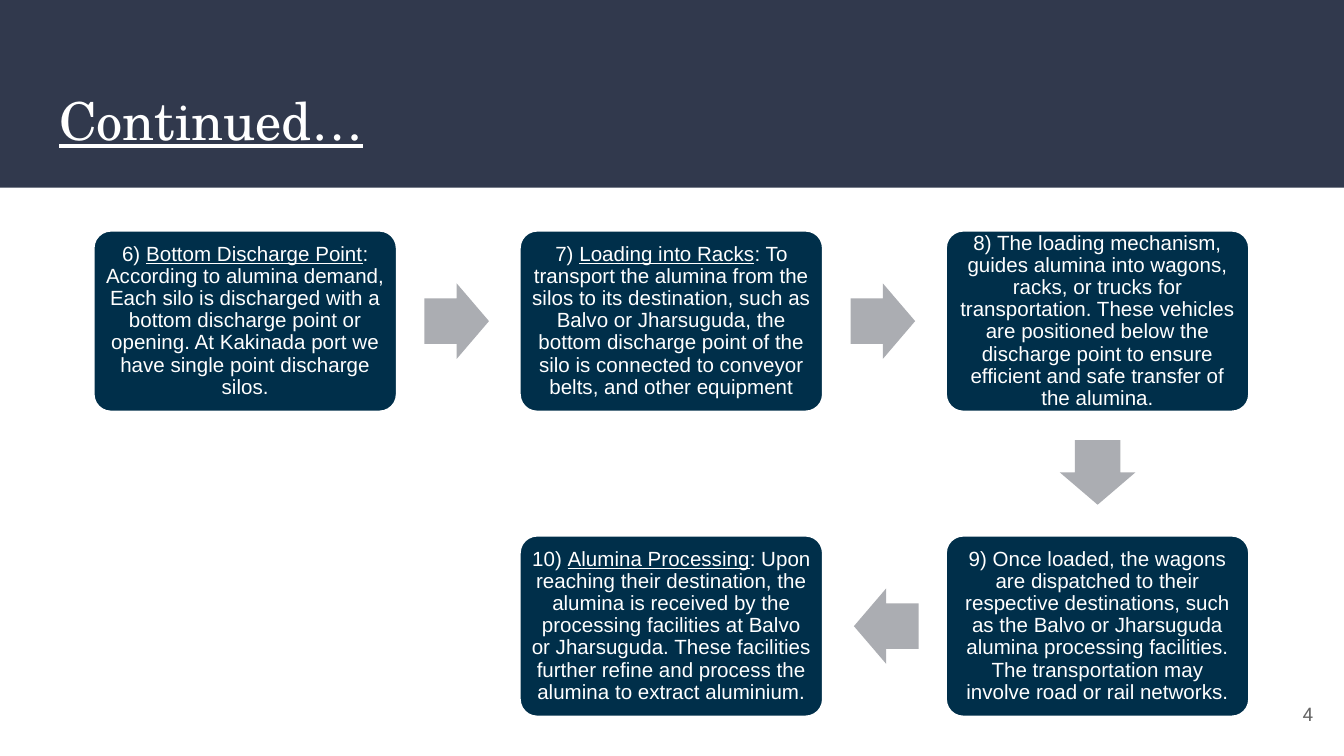
from math import atan2, degrees

from pptx import Presentation
from pptx.dml.color import RGBColor
from pptx.enum.shapes import MSO_SHAPE
from pptx.enum.text import MSO_ANCHOR, MSO_AUTO_SIZE, PP_ALIGN
from pptx.util import Pt

WHITE = RGBColor(0xFF, 0xFF, 0xFF)
SLATE = RGBColor(0x31, 0x39, 0x4D)
NAVY = RGBColor(0x00, 0x2F, 0x4A)
SILVER = RGBColor(0xAB, 0xAD, 0xB2)
GRAY = RGBColor(0x66, 0x66, 0x66)

BOX_WIDTH, BOX_HEIGHT = 163.4, 97.9
ARROW_WIDTH, ARROW_HEIGHT = 34.6, 40.5
LEFT, TOP = 49.7, 123.1
COLUMN_PITCH, ROW_PITCH = 228.3, 163.4
ARROW_POSITION = 0.496

STEPS = [
    (0, 0, "6) ", "Bottom Discharge Point",
     ": According to alumina demand, Each silo is discharged with a bottom discharge "
     "point or opening. At Kakinada port we have single point discharge silos."),
    (1, 0, "7) ", "Loading into Racks",
     ": To transport the alumina from the silos to its destination, such as Balvo or "
     "Jharsuguda, the bottom discharge point of the silo is connected to conveyor belts, "
     "and other equipment"),
    (2, 0, "8) ", "",
     "The loading mechanism, guides alumina into wagons, racks, or trucks for "
     "transportation. These vehicles are positioned below the discharge point to ensure "
     "efficient and safe transfer of the alumina."),
    (2, 1, "9) ", "",
     "Once loaded, the wagons are dispatched to their respective destinations, such as the "
     "Balvo or Jharsuguda alumina processing facilities. The transportation may involve "
     "road or rail networks."),
    (1, 1, "10) ", "Alumina Processing",
     ": Upon reaching their destination, the alumina is received by the processing "
     "facilities at Balvo or Jharsuguda. These facilities further refine and process the "
     "alumina to extract aluminium."),
]


def write_text(text_frame, runs, *, font, size, color, align, inset, line_spacing=1.0):
    """Fill a text frame with one paragraph of (text, underline) runs."""
    text_frame.word_wrap = True
    text_frame.auto_size = MSO_AUTO_SIZE.NONE
    text_frame.vertical_anchor = MSO_ANCHOR.MIDDLE
    text_frame.margin_left = text_frame.margin_right = Pt(inset)
    text_frame.margin_top = text_frame.margin_bottom = Pt(inset)
    paragraph = text_frame.paragraphs[0]
    paragraph.alignment = align
    paragraph.line_spacing = line_spacing
    for text, underline in runs:
        if text:
            run = paragraph.add_run()
            run.text = text
            run.font.name = font
            run.font.size = Pt(size)
            run.font.color.rgb = color
            run.font.underline = underline


class ProcessSlide:
    """Holds the style and the current slide of a process flow."""

    def __init__(self, slide):
        self.slide = slide

    def shape(self, kind, left, top, width, height, fill):
        """Add a flat preset shape without an outline."""
        shape = self.slide.shapes.add_shape(kind, Pt(left), Pt(top), Pt(width), Pt(height))
        shape.shadow.inherit = False
        shape.fill.solid()
        shape.fill.fore_color.rgb = fill
        shape.line.fill.background()
        return shape

    def title(self, text):
        """Add the header band and place the title over it."""
        band = self.shape(MSO_SHAPE.RECTANGLE, 0, 0, 720, 100.6, SLATE)
        title = self.slide.shapes.title
        title.element.addprevious(band.element)
        title.left, title.top, title.width, title.height = Pt(24.5), Pt(39.6), Pt(671), Pt(49)
        write_text(title.text_frame, [(text, True)], font="TeX Gyre Schola", size=28,
                   color=WHITE, align=PP_ALIGN.LEFT, inset=7.2)

    def step(self, column, row, number, heading, body):
        """Add one rounded step box at a grid position."""
        box = self.shape(MSO_SHAPE.ROUNDED_RECTANGLE, LEFT + column * COLUMN_PITCH,
                         TOP + row * ROW_PITCH, BOX_WIDTH, BOX_HEIGHT, NAVY)
        box.adjustments[0] = 0.1
        box.line.color.rgb = WHITE
        box.line.width = Pt(2)
        write_text(box.text_frame, [(number, False), (heading, True), (body, False)],
                   font="Arial", size=11, color=WHITE, align=PP_ALIGN.CENTER,
                   inset=3.6, line_spacing=0.9)

    def arrow(self, start, end):
        """Add a block arrow between two neighbouring grid positions."""
        column_step, row_step = end[0] - start[0], end[1] - start[1]
        center_x = LEFT + BOX_WIDTH / 2 + (start[0] + column_step * ARROW_POSITION) * COLUMN_PITCH
        center_y = TOP + BOX_HEIGHT / 2 + (start[1] + row_step * ARROW_POSITION) * ROW_PITCH
        arrow = self.shape(MSO_SHAPE.RIGHT_ARROW, center_x - ARROW_WIDTH / 2,
                           center_y - ARROW_HEIGHT / 2, ARROW_WIDTH, ARROW_HEIGHT, SILVER)
        arrow.adjustments[0] = 0.6
        arrow.adjustments[1] = 0.5
        arrow.rotation = degrees(atan2(row_step, column_step))

    def page_number(self, number):
        """Add the page number in the bottom right corner."""
        box = self.slide.shapes.add_textbox(Pt(667.4), Pt(367.2), Pt(43.2), Pt(31))
        write_text(box.text_frame, [(str(number), False)], font="Roboto", size=10,
                   color=GRAY, align=PP_ALIGN.RIGHT, inset=7.2)


def main():
    """Build and save the presentation."""
    presentation = Presentation()
    presentation.slide_width, presentation.slide_height = Pt(720), Pt(405)
    slide = presentation.slides.add_slide(presentation.slide_layouts[5])
    process = ProcessSlide(slide)
    process.title("Continued…")
    for step in STEPS:
        process.step(*step)
    for start, end in zip(STEPS, STEPS[1:]):
        process.arrow(start[:2], end[:2])
    process.page_number(4)
    presentation.save("out.pptx")


if __name__ == "__main__":
    main()
